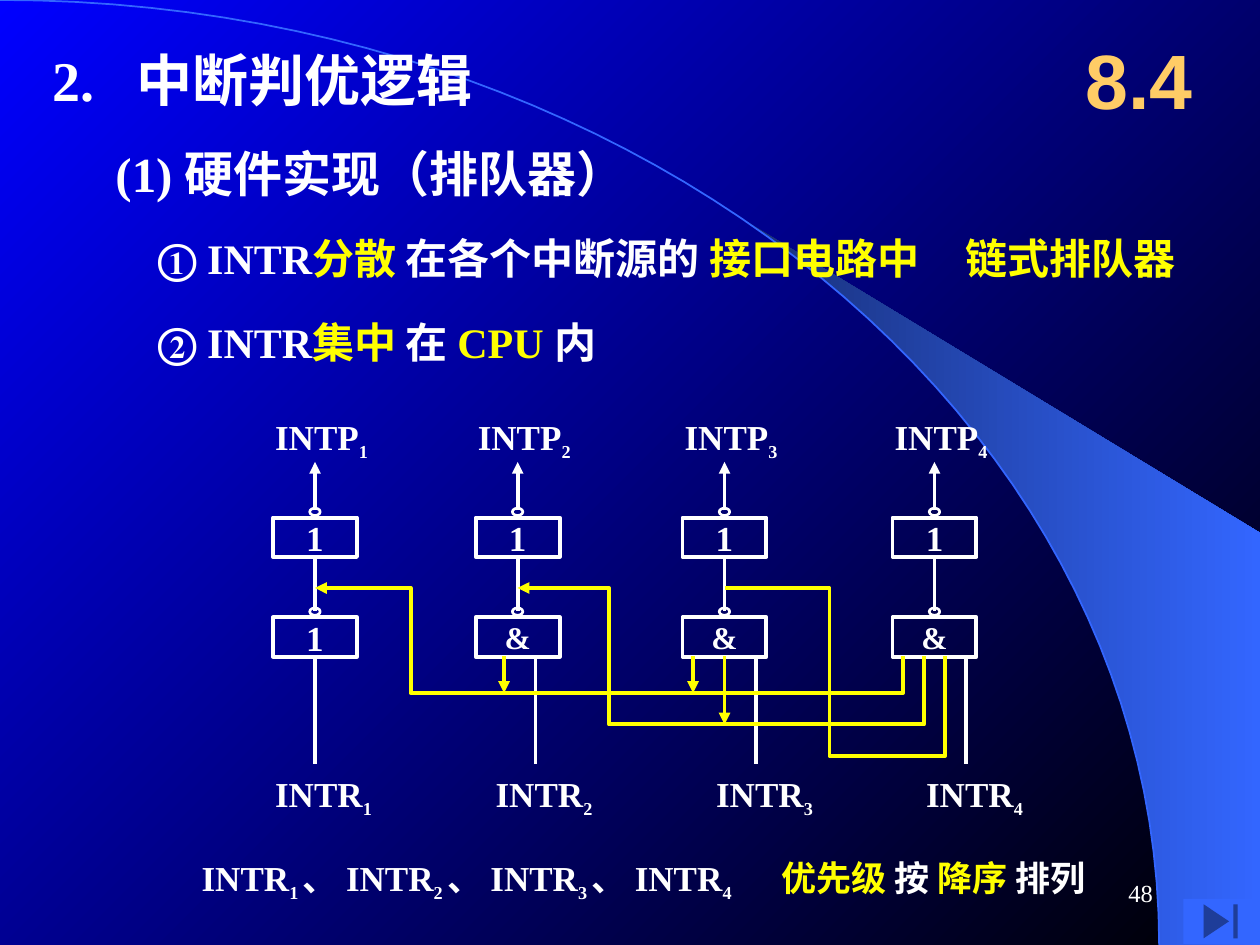
from lxml.etree import SubElement
from pptx import Presentation
from pptx.dml.color import RGBColor
from pptx.enum.shapes import MSO_CONNECTOR, MSO_SHAPE
from pptx.enum.text import MSO_ANCHOR, PP_ALIGN
from pptx.oxml.ns import qn
from pptx.util import Inches, Pt

WHITE = RGBColor(0xFF, 0xFF, 0xFF)
YELLOW = RGBColor(0xFF, 0xFF, 0x00)
ORANGE = RGBColor(0xFF, 0xCC, 0x66)
BLUE = RGBColor(0x00, 0x00, 0xFF)
BLACK = RGBColor(0x00, 0x00, 0x00)
NAVY = RGBColor(0x18, 0x2F, 0x76)
SKY = RGBColor(0x33, 0x66, 0xFF)

COLUMNS, ROWS = 120, 90
SERIF, SANS = "Times New Roman", "Arial"


def cells(count):
    return Inches(count / 12)


def set_gradient(fill, first, last, angle):
    fill.gradient()
    fill.gradient_angle = angle
    for stop, colour in zip(fill.gradient_stops, (first, last)):
        stop.color.rgb = colour


def set_line(line, colour, width, head=False, tail=False):
    line.color.rgb = colour
    line.width = Pt(width)
    outline = line._get_or_add_ln()
    for tag, wanted in (("a:headEnd", head), ("a:tailEnd", tail)):
        if wanted:
            SubElement(outline, qn(tag)).set("type", "triangle")


def add_line(page, start, end, colour=WHITE, tail=False):
    points = [cells(value) for value in (*start, *end)]
    wire = page.shapes.add_connector(MSO_CONNECTOR.STRAIGHT, *points)
    set_line(wire.line, colour, 2.25, tail=tail)
    SubElement(wire._element.spPr, qn("a:effectLst"))


def add_outline(page, points, closed=False):
    points = [(cells(x), cells(y)) for x, y in points]
    builder = page.shapes.build_freeform(*points[0])
    builder.add_line_segments(points[1:], close=closed)
    shape = builder.convert_to_shape()
    shape.shadow.inherit = False
    shape.fill.background()
    return shape


def add_shape(page, kind, left, top, width, height):
    shape = page.shapes.add_shape(kind, *map(cells, (left, top, width, height)))
    shape.shadow.inherit = False
    return shape


def write_text(frame, spans, size, colour=WHITE, font=SERIF, bold=True,
               align=PP_ALIGN.LEFT, tab=None):
    para = frame.paragraphs[0]
    para.alignment = align
    if tab:
        stops = SubElement(para._p.get_or_add_pPr(), qn("a:tabLst"))
        SubElement(stops, qn("a:tab"), pos=str(cells(tab)), algn="l")
    para.font.size = Pt(size)
    para.font.name = font
    para.font.bold = bold
    para.font.color.rgb = colour
    for text, style in spans:
        span = para.add_run()
        span.text = text
        if style == "sub":
            span.font.size = Pt(18)
            span._r.get_or_add_rPr().set("baseline", "-25000")
        elif style:
            span.font.color.rgb = style


def add_text(page, left, top, width, height, spans, size, inset=1.2,
             anchor=MSO_ANCHOR.MIDDLE, **style):
    box = page.shapes.add_textbox(*map(cells, (left, top, width, height)))
    frame = box.text_frame
    frame.word_wrap = True
    frame.vertical_anchor = anchor
    frame.margin_left = frame.margin_right = cells(inset)
    write_text(frame, spans, size, **style)


def draw_backdrop(page, width, height):
    set_gradient(page.background.fill, BLUE, BLACK, 315)
    right, bottom = width * 0.92, height
    controls = ((0, 0), (width * 0.508, 0), (right, height * 0.447), (right, bottom))

    def arc_point(t):
        weights = ((1 - t) ** 3, 3 * t * (1 - t) ** 2, 3 * t * t * (1 - t), t ** 3)
        return [sum(w * point[axis] for w, point in zip(weights, controls))
                for axis in (0, 1)]

    arc = [arc_point(step / 50) for step in range(51)]
    swoosh = add_outline(
        page, arc[22:] + [(width, bottom), (width, height * 0.564)], closed=True)
    set_gradient(swoosh.fill, NAVY, SKY, 0)
    swoosh.line.fill.background()
    set_line(add_outline(page, arc).line, SKY, 1)


def draw_headings(page, left, top):
    headings = (
        (0, 0, 51, 32, 8, [("2.\t中断判优逻辑", None)]),
        (6, 9, 69, 28, None, [("(1) 硬件实现（排队器）", None)]),
        (10, 17, 99, 24, 77, [("① INTR", None), ("分散 ", YELLOW),
                              ("在各个中断源的 ", None),
                              ("接口电路中\t链式排队器", YELLOW)]),
        (10, 25, 69, 24, None, [("② INTR", None), ("集中 ", YELLOW), ("在 ", None),
                                ("CPU ", YELLOW), ("内", None)]),
    )
    for x, y, width, size, tab, spans in headings:
        add_text(page, left + x, top + y, width, 7, spans, size, inset=0, tab=tab)


def draw_gate(page, centre, top, symbol, size):
    gate = add_shape(page, MSO_SHAPE.RECTANGLE, centre - 4, top, 8, 3.75)
    gate.fill.background()
    set_line(gate.line, WHITE, 2.25)
    frame = gate.text_frame
    frame.margin_top = frame.margin_bottom = 0
    frame.vertical_anchor = MSO_ANCHOR.MIDDLE
    write_text(frame, [(symbol, None)], size, align=PP_ALIGN.CENTER)
    bubble = add_shape(page, MSO_SHAPE.OVAL, centre - 0.5, top - 0.9, 1, 0.7)
    bubble.fill.background()
    set_line(bubble.line, WHITE, 1.5)


def draw_stage(page, number, centre, source, top):
    draw_gate(page, centre, top + 10.3, "1", 20)
    add_line(page, (centre, top + 13.9), (centre, top + 19.2))
    add_line(page, (centre, top + 9.6), (centre, top + 5), tail=True)
    symbol, size = ("1", 20) if number == 1 else ("&", 18)
    draw_gate(page, centre, top + 19.8, symbol, size)
    add_line(page, (source, top + 23.5), (source, top + 33.8))
    for name, x, y in (("INTP", centre, top), ("INTR", source, top + 34)):
        add_text(page, x - 5, y, 14, 5.6, [(name, None), (str(number), "sub")], 20,
                 anchor=MSO_ANCHOR.TOP)


def draw_feedback(page, left, top):
    loops = ((0, 9.1, 10, 56, True), (19.3, 28, 13, 58, True), (39, 49, 16, 60, False))
    for start, turn, depth, end, arrow in loops:
        route = ((start, 0), (turn, 0), (turn, depth), (end, depth), (end, 6.5))
        wire = add_outline(page, [(left + x, top + y) for x, y in route])
        set_line(wire.line, YELLOW, 2.25, head=arrow)
    for x, depth in ((18, 10), (36, 10), (39, 13)):
        add_line(page, (left + x, top + 6.5), (left + x, top + depth), YELLOW, tail=True)


def draw_queue(page, left, top):
    stages = ((0, 0), (19.3, 21), (39, 42), (59, 62))
    for number, (centre, source) in enumerate(stages, 1):
        draw_stage(page, number, left + centre, left + source, top)
    draw_feedback(page, left, top + 17)


def draw_summary(page, left, top):
    spans = []
    for number in range(1, 5):
        spans += [("INTR", None), (f"{number} " if number < 4 else "4\t", "sub")]
        if number < 4:
            spans.append(("、 ", None))
    spans += [("优先级 ", YELLOW), ("按 ", None), ("降序 ", YELLOW), ("排列", None)]
    add_text(page, left, top, 93, 5.6, spans, 20, anchor=MSO_ANCHOR.TOP, tab=55.2)


def draw_corners(page, width, height):
    add_text(page, width - 19, 2, 15, 11, [("8.4", None)], 44, colour=ORANGE,
             font=SANS, align=PP_ALIGN.CENTER)
    button = add_shape(page, MSO_SHAPE.ACTION_BUTTON_END,
                       width - 7.3, height - 4.4, 7.1, 4.3)
    button.fill.solid()
    button.fill.fore_color.rgb = SKY
    button.line.fill.background()
    add_text(page, width - 34, height - 8, 25, 6, [("48", None)], 14, bold=False,
             align=PP_ALIGN.RIGHT)


def main():
    deck = Presentation()
    deck.slide_width, deck.slide_height = cells(COLUMNS), cells(ROWS)
    page = deck.slides.add_slide(deck.slide_layouts[6])
    draw_backdrop(page, COLUMNS, ROWS)
    draw_headings(page, 5, 4)
    draw_queue(page, 30, 39)
    draw_summary(page, 18, 81)
    draw_corners(page, COLUMNS, ROWS)
    deck.save("out.pptx")


if __name__ == "__main__":
    main()
